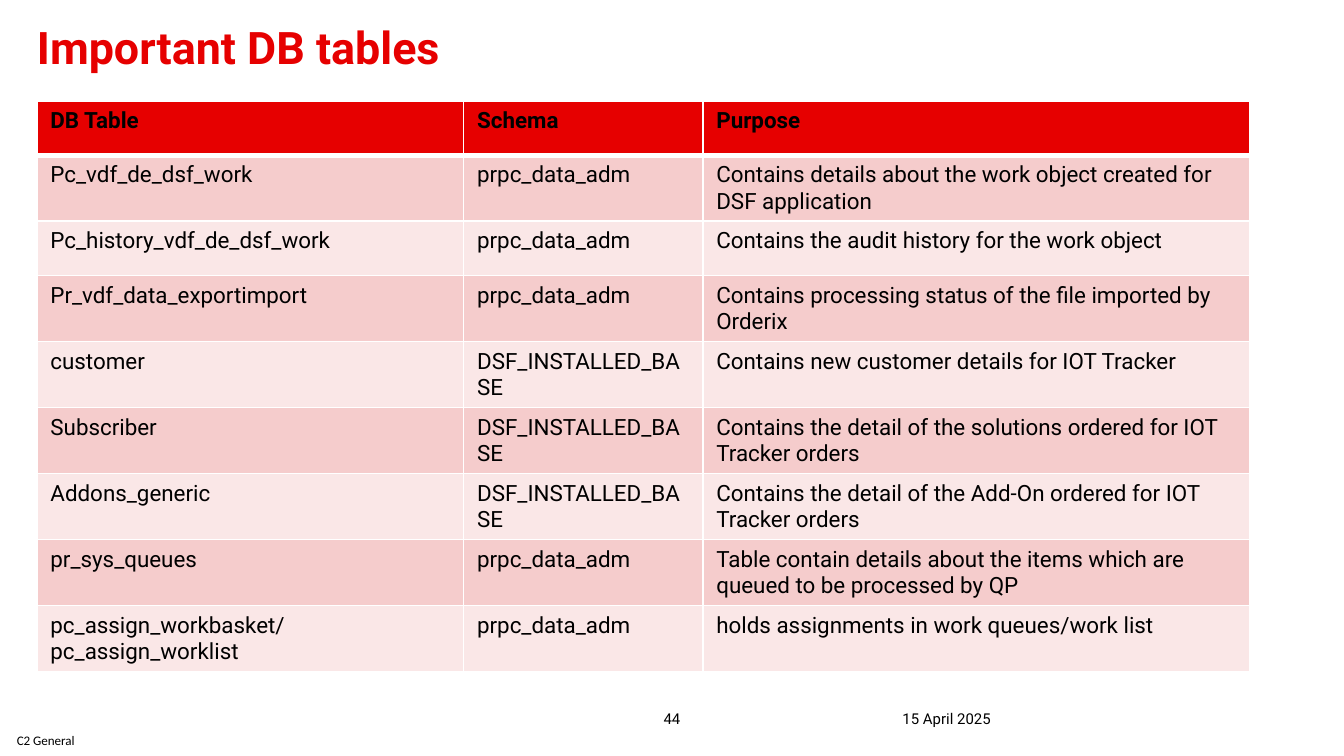
from dataclasses import dataclass

from lxml.etree import SubElement
from pptx import Presentation
from pptx.dml.color import RGBColor
from pptx.enum.text import MSO_ANCHOR, MSO_AUTO_SIZE, PP_ALIGN
from pptx.oxml.ns import qn
from pptx.util import Pt

PX = 4572  # EMU per px, 200 px to the inch


@dataclass(frozen=True)
class Theme:
    font: str = "Roboto"
    mark: str = "Calibri"
    red: str = "E60000"
    dark: str = "F5CCCC"
    pale: str = "FAE7E7"
    black: str = "000000"
    white: str = "FFFFFF"
    head: int = 24
    body: int = 12
    note: int = 8
    tiny: int = 7


THEME = Theme()
HEADS = ("DB Table", "Schema", "Purpose")
DATA, BASE = "prpc_data_adm", "DSF_INSTALLED_BASE"
ROWS = [
    ("Pc_vdf_de_dsf_work", DATA,
     "Contains details about the work object created for DSF application"),
    ("Pc_history_vdf_de_dsf_work", DATA,
     "Contains the audit history for the work object"),
    ("Pr_vdf_data_exportimport", DATA,
     "Contains processing status of the file imported by Orderix"),
    ("customer", BASE, "Contains new customer details for IOT Tracker"),
    ("Subscriber", BASE,
     "Contains the detail of the solutions ordered for IOT Tracker orders"),
    ("Addons_generic", BASE,
     "Contains the detail of the Add-On ordered for IOT Tracker orders"),
    ("pr_sys_queues", DATA,
     "Table contain details about the items which are queued to be processed by QP"),
    ("pc_assign_workbasket/pc_assign_worklist", DATA,
     "holds assignments in work queues/work list"),
]


def write(frame, text, size, font=THEME.font, color=THEME.black, bold=False,
          align=None, space=None):
    """Put one formatted paragraph into a text frame."""
    para = frame.paragraphs[0]
    para.alignment = align
    para.line_spacing = space
    run = para.add_run()
    run.text = text
    run.font.size = Pt(size)
    run.font.name = font
    run.font.bold = bold
    run.font.color.rgb = RGBColor.from_string(color)


def edge(cell, side, width):
    """Draw one white cell border; side is L, R, T or B."""
    line = SubElement(cell._tc.get_or_add_tcPr(), qn(f"a:ln{side}"), w=str(Pt(width)))
    fill = SubElement(line, qn("a:solidFill"))
    SubElement(fill, qn("a:srgbClr"), val=THEME.white)


class Page:
    def __init__(self, deck, theme):
        self.theme = theme
        self.slide = deck.slides.add_slide(deck.slide_layouts[5])

    def setup(self, frame, anchor, left=0):
        frame.margin_left = left * PX
        frame.margin_right = frame.margin_top = frame.margin_bottom = 0
        frame.word_wrap = True
        frame.auto_size = MSO_AUTO_SIZE.NONE
        frame.vertical_anchor = anchor

    def title(self, text, x, y, w, h):
        shape = self.slide.shapes.title
        shape.left, shape.top, shape.width, shape.height = (n * PX for n in (x, y, w, h))
        self.setup(shape.text_frame, MSO_ANCHOR.TOP)
        write(shape.text_frame, text, self.theme.head, color=self.theme.red,
              bold=True, align=PP_ALIGN.LEFT, space=0.8)

    def label(self, text, x, y, w, h, size, anchor=MSO_ANCHOR.BOTTOM, left=0, **style):
        box = self.slide.shapes.add_textbox(*(n * PX for n in (x, y, w, h)))
        self.setup(box.text_frame, anchor, left)
        write(box.text_frame, text, size, **style)

    def table(self, rows, x, y, widths, high):
        """Draw a table whose first row is the header."""
        grid = self.slide.shapes.add_table(
            len(rows), len(widths), x * PX, y * PX,
            sum(widths) * PX, high * len(rows) * PX).table
        for col, width in zip(grid.columns, widths):
            col.width = width * PX
        for i, row in enumerate(rows):
            grid.rows[i].height = high * PX
            for j, text in enumerate(row):
                self.cell(grid.cell(i, j), text, i)

    def cell(self, cell, text, row):
        look = self.theme
        for side in "LRTB":
            thick = (row, side) in ((0, "B"), (1, "T"))
            edge(cell, side, 3 if thick else 1)
        fill = look.red if row == 0 else look.dark if row % 2 else look.pale
        cell.fill.solid()
        cell.fill.fore_color.rgb = RGBColor.from_string(fill)
        write(cell.text_frame, text, look.body, bold=row == 0)


def main():
    deck = Presentation()
    deck.slide_width, deck.slide_height = 2000 * PX, 1125 * PX
    page = Page(deck, THEME)
    page.label("C2 General", 0, 1079, 136, 46, THEME.tiny, anchor=MSO_ANCHOR.MIDDLE,
               left=25, font=THEME.mark)
    page.title("Important DB tables", 55, 45, 1430, 82)
    page.label("15 April 2025", 1343, 1031, 466, 52, THEME.note)
    page.label("44", 955, 1031, 90, 52, THEME.note, align=PP_ALIGN.CENTER)
    page.table([HEADS, *ROWS], 55, 150, (635, 356, 814), 81)
    deck.save("out.pptx")


if __name__ == "__main__":
    main()
